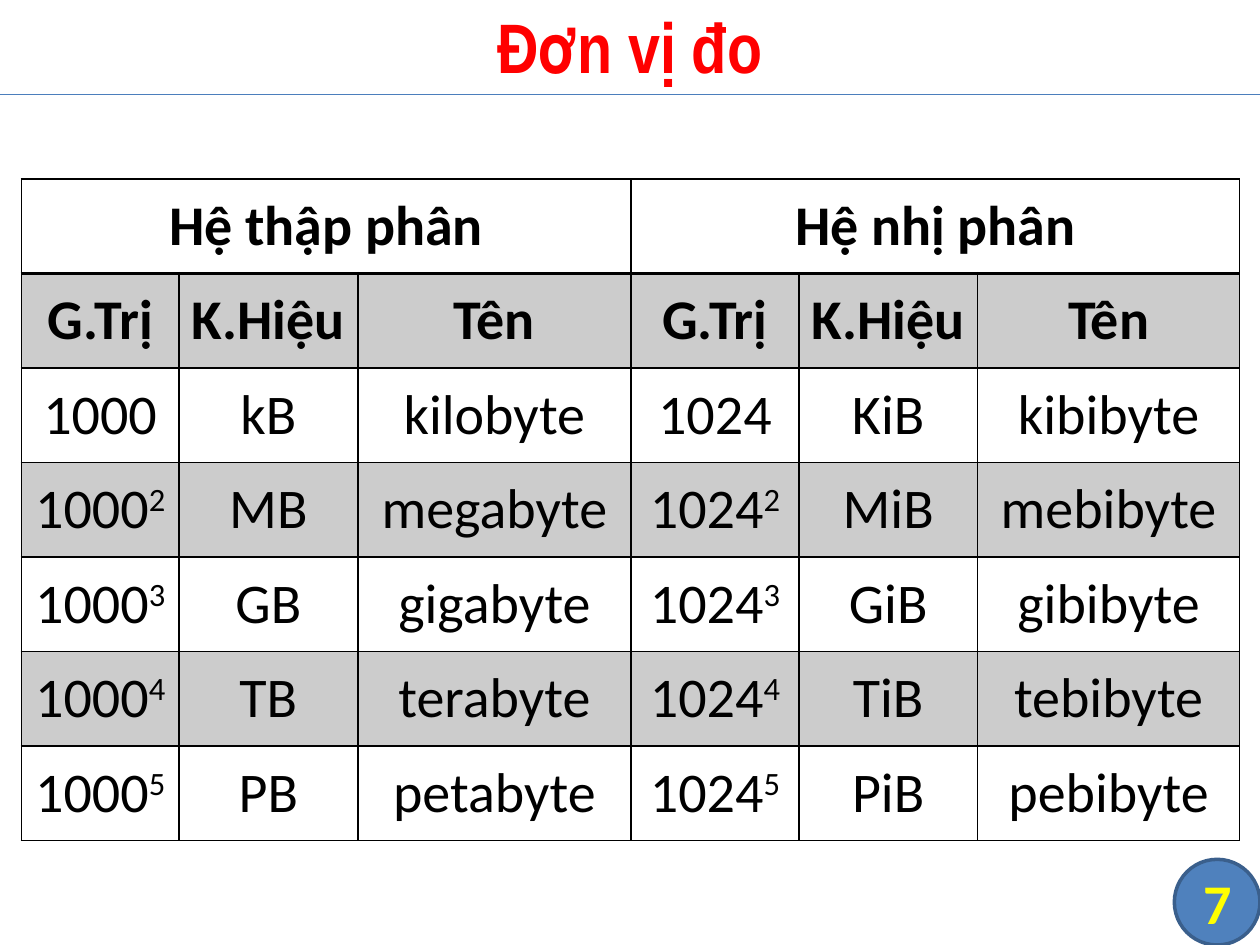
from dataclasses import dataclass

from lxml.etree import SubElement
from pptx import Presentation
from pptx.dml.color import RGBColor
from pptx.enum.shapes import MSO_CONNECTOR, MSO_SHAPE
from pptx.enum.text import MSO_ANCHOR, PP_ALIGN
from pptx.oxml import parse_xml
from pptx.oxml.ns import nsdecls, qn
from pptx.util import Inches, Pt

BLACK = RGBColor(0x00, 0x00, 0x00)
RED = RGBColor(0xFF, 0x00, 0x00)
YELLOW = RGBColor(0xFF, 0xFF, 0x00)
BADGE_BLUE = RGBColor(0x4F, 0x81, 0xBD)
BADGE_EDGE = RGBColor(0x3A, 0x5F, 0x8C)
RULE_BLUE = RGBColor(0x4B, 0x7E, 0xBC)

COLUMN_WIDTHS = (1.25, 1.42, 2.17, 1.33, 1.42, 2.08)
ROW_HEIGHT = 0.75
SHADE_ALPHA = 20
SUPERSCRIPT = "30000"


@dataclass(frozen=True)
class UnitSystem:
    heading: str
    base: str
    units: tuple[tuple[str, str], ...]


SUBHEADINGS = ("G.Trị", "K.Hiệu", "Tên")
SYSTEMS = (
    UnitSystem("Hệ thập phân", "1000", (
        ("kB", "kilobyte"), ("MB", "megabyte"), ("GB", "gigabyte"),
        ("TB", "terabyte"), ("PB", "petabyte"))),
    UnitSystem("Hệ nhị phân", "1024", (
        ("KiB", "kibibyte"), ("MiB", "mebibyte"), ("GiB", "gibibyte"),
        ("TiB", "tebibyte"), ("PiB", "pebibyte"))),
)


def add_run(paragraph, text: str, color: RGBColor, size: int = 32,
            bold: bool = False, font: str = "Calibri"):
    run = paragraph.add_run()
    run.text = text
    run.font.name = font
    run.font.size = Pt(size)
    run.font.bold = bold
    run.font.color.rgb = color
    return run


def set_margins(target, side: float) -> None:
    target.margin_left = target.margin_right = Inches(side)
    target.margin_top = target.margin_bottom = 0


def set_borders(cell, top: float = 1, bottom: float = 1) -> None:
    properties = cell._tc.get_or_add_tcPr()
    for side, width in (("L", 1), ("R", 1), ("T", top), ("B", bottom)):
        properties.append(parse_xml(
            f'<a:ln{side} {nsdecls("a")} w="{Pt(width)}"><a:solidFill>'
            f'<a:srgbClr val="{BLACK}"/></a:solidFill></a:ln{side}>'))


def set_fill(cell, shaded: bool) -> None:
    if not shaded:
        cell.fill.background()
        return
    cell.fill.solid()
    cell.fill.fore_color.rgb = BLACK
    color = cell._tc.tcPr.find(qn("a:solidFill")).find(qn("a:srgbClr"))
    SubElement(color, qn("a:alpha")).set("val", str(SHADE_ALPHA * 1000))


def write_cell(cell, text: str, bold: bool = False, exponent: str = "") -> None:
    cell.vertical_anchor = MSO_ANCHOR.MIDDLE
    set_margins(cell, 0.07)
    paragraph = cell.text_frame.paragraphs[0]
    paragraph.alignment = PP_ALIGN.CENTER
    paragraph.space_before = paragraph.space_after = Pt(3)
    add_run(paragraph, text, BLACK, bold=bold)
    if exponent:
        power = add_run(paragraph, exponent, BLACK, bold=bold)
        power.font._element.set("baseline", SUPERSCRIPT)


def add_rule(slide) -> None:
    rule = slide.shapes.add_connector(
        MSO_CONNECTOR.STRAIGHT, 0, Inches(0.75), Inches(10), Inches(0.75))
    rule.line.color.rgb = RULE_BLUE
    rule.line.width = Pt(0.75)
    SubElement(rule._element.spPr, qn("a:effectLst"))


def add_page_number(slide, number: str) -> None:
    badge = slide.shapes.add_shape(
        MSO_SHAPE.FLOWCHART_CONNECTOR,
        Inches(9.32), Inches(6.82), Inches(0.68), Inches(0.68))
    badge.shadow.inherit = False
    badge.fill.solid()
    badge.fill.fore_color.rgb = BADGE_BLUE
    badge.line.color.rgb = BADGE_EDGE
    badge.line.width = Pt(2)

    label = slide.shapes.add_textbox(
        Inches(9.33), Inches(6.82), Inches(0.67), Inches(0.68)).text_frame
    label.word_wrap = True
    label.vertical_anchor = MSO_ANCHOR.MIDDLE
    set_margins(label, 0)
    label.paragraphs[0].alignment = PP_ALIGN.CENTER
    add_run(label.paragraphs[0], number, YELLOW, bold=True)


def add_title(slide, text: str) -> None:
    title = slide.shapes.title
    title.left, title.top = 0, Inches(-0.03)
    title.width, title.height = Inches(10), Inches(0.78)
    title.text_frame.vertical_anchor = MSO_ANCHOR.MIDDLE
    heading = title.text_frame.paragraphs[0]
    heading.alignment = PP_ALIGN.CENTER
    add_run(heading, text, RED, size=40, bold=True, font="Arial Narrow")


def add_unit_table(slide) -> None:
    row_count = 2 + len(SYSTEMS[0].units)
    table = slide.shapes.add_table(
        row_count, len(COLUMN_WIDTHS), Inches(0.17), Inches(1.42),
        Inches(sum(COLUMN_WIDTHS)), Inches(ROW_HEIGHT * row_count)).table
    table.first_row = table.horz_banding = False
    for column, width in zip(table.columns, COLUMN_WIDTHS):
        column.width = Inches(width)

    # Grid lines and alternate shading
    for index, row in enumerate(table.rows):
        row.height = Inches(ROW_HEIGHT)
        for cell in row.cells:
            set_borders(cell, top=2 if index == 1 else 1,
                        bottom=2 if index == 0 else 1)
            set_fill(cell, shaded=index % 2 == 1)

    # One block of three columns for each system
    span = len(SUBHEADINGS)
    for block, system in enumerate(SYSTEMS):
        first = block * span
        heading = table.cell(0, first)
        heading.merge(table.cell(0, first + span - 1))
        write_cell(heading, system.heading, bold=True)
        for offset, subheading in enumerate(SUBHEADINGS):
            write_cell(table.cell(1, first + offset), subheading, bold=True)
        for power, (symbol, name) in enumerate(system.units, start=1):
            row = power + 1
            write_cell(table.cell(row, first), system.base,
                       exponent=str(power) if power > 1 else "")
            write_cell(table.cell(row, first + 1), symbol)
            write_cell(table.cell(row, first + 2), name)


def main() -> None:
    deck = Presentation()
    deck.slide_width, deck.slide_height = Inches(10), Inches(7.5)
    slide = deck.slides.add_slide(deck.slide_layouts[5])
    add_rule(slide)
    add_title(slide, "Đơn vị đo")
    add_page_number(slide, "7")
    add_unit_table(slide)
    deck.save("out.pptx")


if __name__ == "__main__":
    main()
